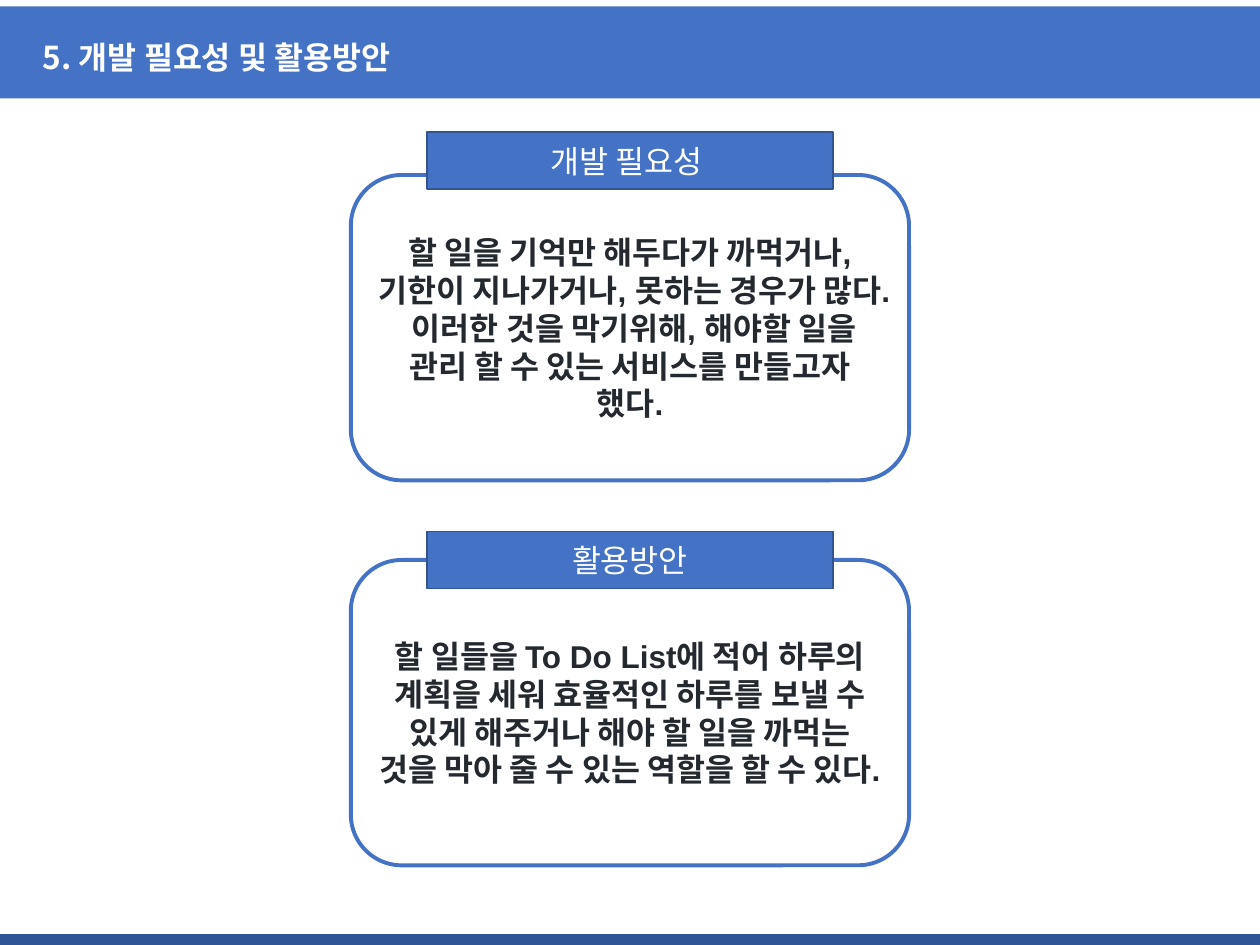
from pptx import Presentation
from pptx.dml.color import RGBColor
from pptx.enum.shapes import MSO_SHAPE
from pptx.enum.text import MSO_ANCHOR, MSO_AUTO_SIZE, PP_ALIGN
from pptx.oxml.xmlchemy import OxmlElement
from pptx.util import Pt

RECTANGLE = MSO_SHAPE.RECTANGLE
ROUNDED = MSO_SHAPE.ROUNDED_RECTANGLE
MIDDLE = MSO_ANCHOR.MIDDLE
CENTER = PP_ALIGN.CENTER
NO_FIT = MSO_AUTO_SIZE.NONE
GROW = MSO_AUTO_SIZE.SHAPE_TO_FIT_TEXT

KOREAN_FONT = "Noto Sans CJK KR"
COLORS = {
    "blue": "4472C4",
    "footer": "2F5597",
    "label line": "325491",
    "text": "24292F",
    "white": "FFFFFF",
}

SLIDE_WIDTH, SLIDE_HEIGHT = 720, 540
PANEL_WIDTH, PANEL_HEIGHT = 319, 174.5
LABEL_WIDTH, LABEL_HEIGHT = 232, 32.5

# panel top, label top, label, body
SECTIONS = [
    (100, 75.5, "개발 필요성 ",
     "할 일을 기억만 해두다가 까먹거나, 기한이 지나가거나, 못하는 경우가 많다. "
     "이러한 것을 막기위해, 해야할 일을 관리 할 수 있는 서비스를 만들고자 했다."),
    (320, 303.75, "활용방안",
     "할 일들을 To Do List에 적어 하루의 계획을 세워 효율적인 하루를 보낼 수 있게 "
     "해주거나 해야 할 일을 까먹는 것을 막아 줄 수 있는 역할을 할 수 있다."),
]

deck = Presentation()
deck.slide_width, deck.slide_height = Pt(SLIDE_WIDTH), Pt(SLIDE_HEIGHT)
page = deck.slides.add_slide(deck.slide_layouts[6])


def add_box(kind, left, top, width, height, fill, line=None, line_width=0):
    box = page.shapes.add_shape(kind, Pt(left), Pt(top), Pt(width), Pt(height))
    box.shadow.inherit = False
    box.fill.solid()
    box.fill.fore_color.rgb = RGBColor.from_string(COLORS[fill])
    if line:
        box.line.color.rgb = RGBColor.from_string(COLORS[line])
        box.line.width = Pt(line_width)
    else:
        box.line.fill.background()
    return box


def write(box, text, font, color, bold, align=None):
    frame = box.text_frame
    frame.text = text
    para = frame.paragraphs[0]
    para.alignment = align
    span = para.runs[0]
    span.font.size = Pt(18)
    span.font.bold = bold
    span.font.color.rgb = RGBColor.from_string(COLORS[color])
    span.font.name = font
    east_asian = OxmlElement("a:ea")
    east_asian.set("typeface", KOREAN_FONT)
    span._r.get_or_add_rPr().append(east_asian)


add_box(RECTANGLE, 0, 3.75, SLIDE_WIDTH, 52.5, "blue")
add_box(RECTANGLE, 0, 533.75, SLIDE_WIDTH, 10, "footer")

title = page.shapes.add_textbox(Pt(17.5), Pt(18), Pt(237.5), Pt(29))
title.text_frame.word_wrap = False
title.text_frame.auto_size = GROW
write(title, "5. 개발 필요성 및 활용방안", KOREAN_FONT, "white", True)

for panel_top, label_top, label_text, body_text in SECTIONS:
    panel = add_box(ROUNDED, (SLIDE_WIDTH - PANEL_WIDTH) / 2, panel_top,
                    PANEL_WIDTH, PANEL_HEIGHT, "white", "blue", 2.25)
    label = add_box(RECTANGLE, (SLIDE_WIDTH - LABEL_WIDTH) / 2, label_top,
                    LABEL_WIDTH, LABEL_HEIGHT, "blue", "label line", 1)
    for box in (panel, label):
        box.text_frame.word_wrap = True
        box.text_frame.auto_size = NO_FIT
        box.text_frame.vertical_anchor = MIDDLE
    write(panel, body_text, "Arial", "text", True, CENTER)
    write(label, label_text, "Calibri", "white", False, CENTER)

deck.save("out.pptx")
